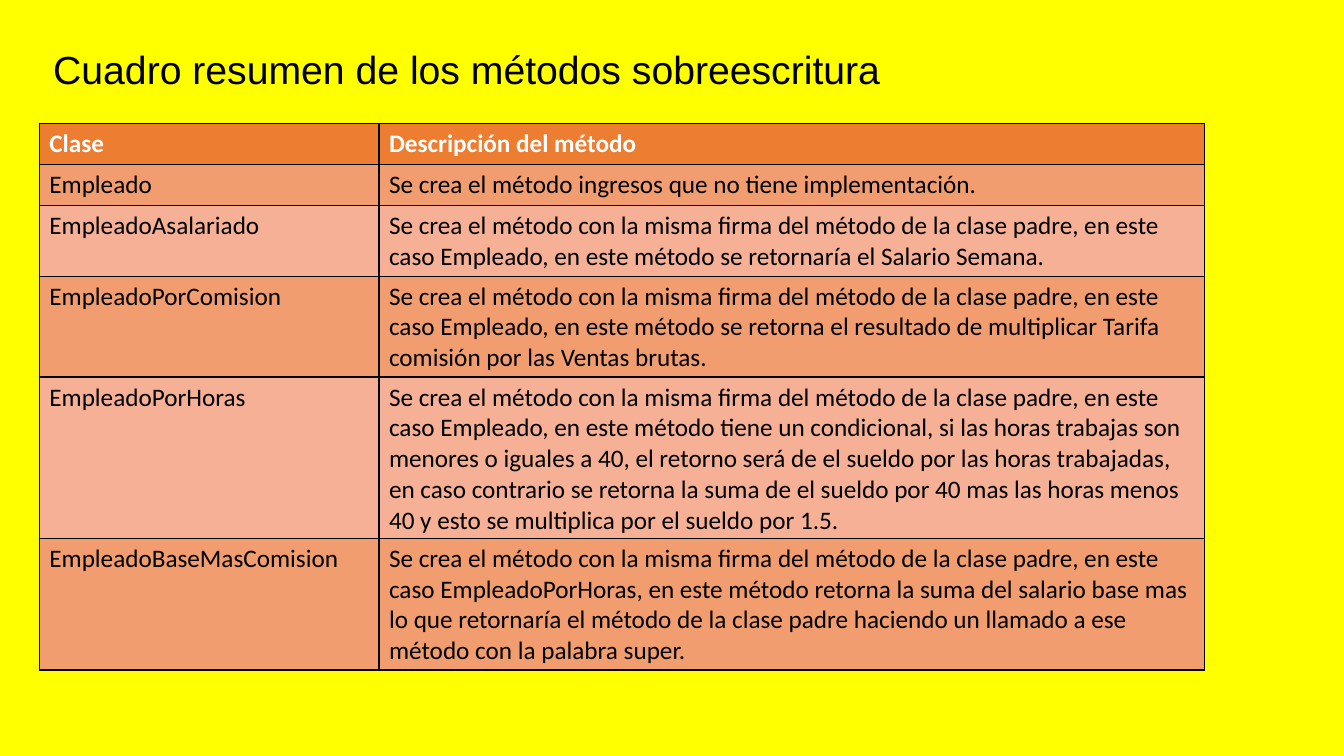
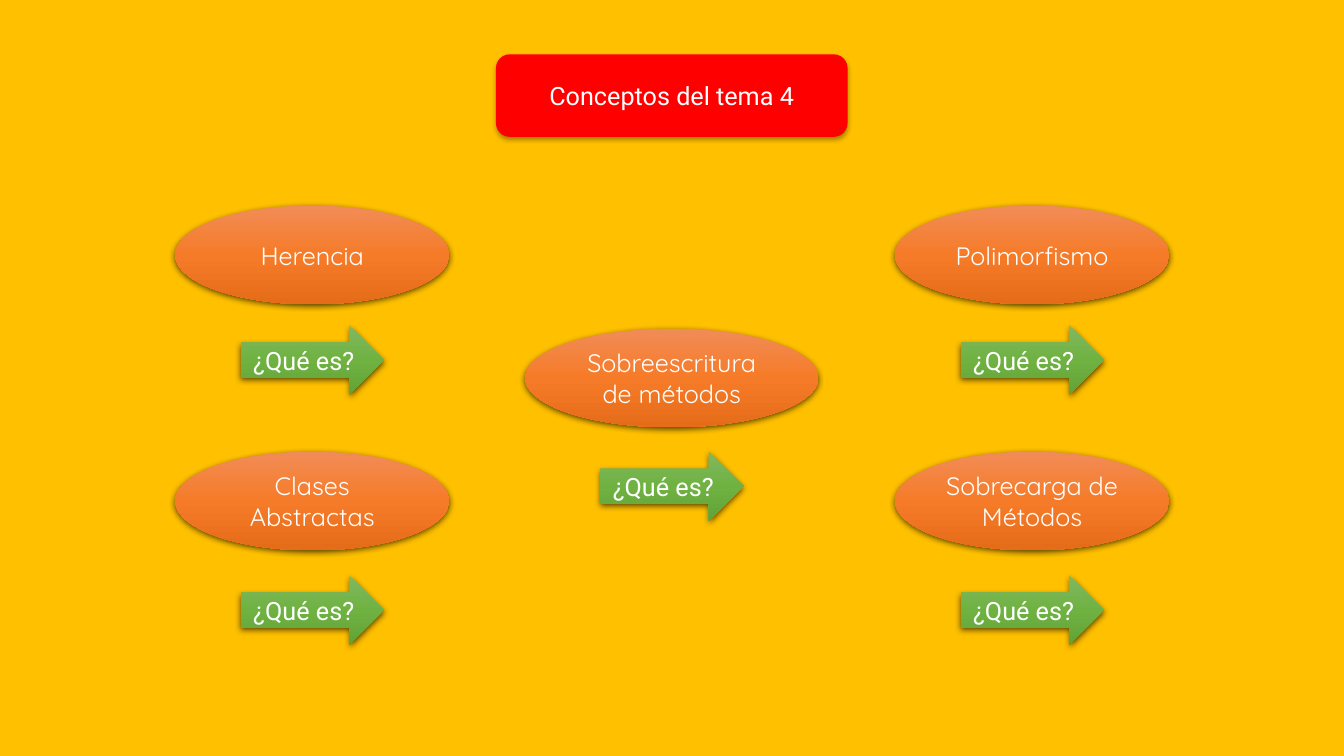
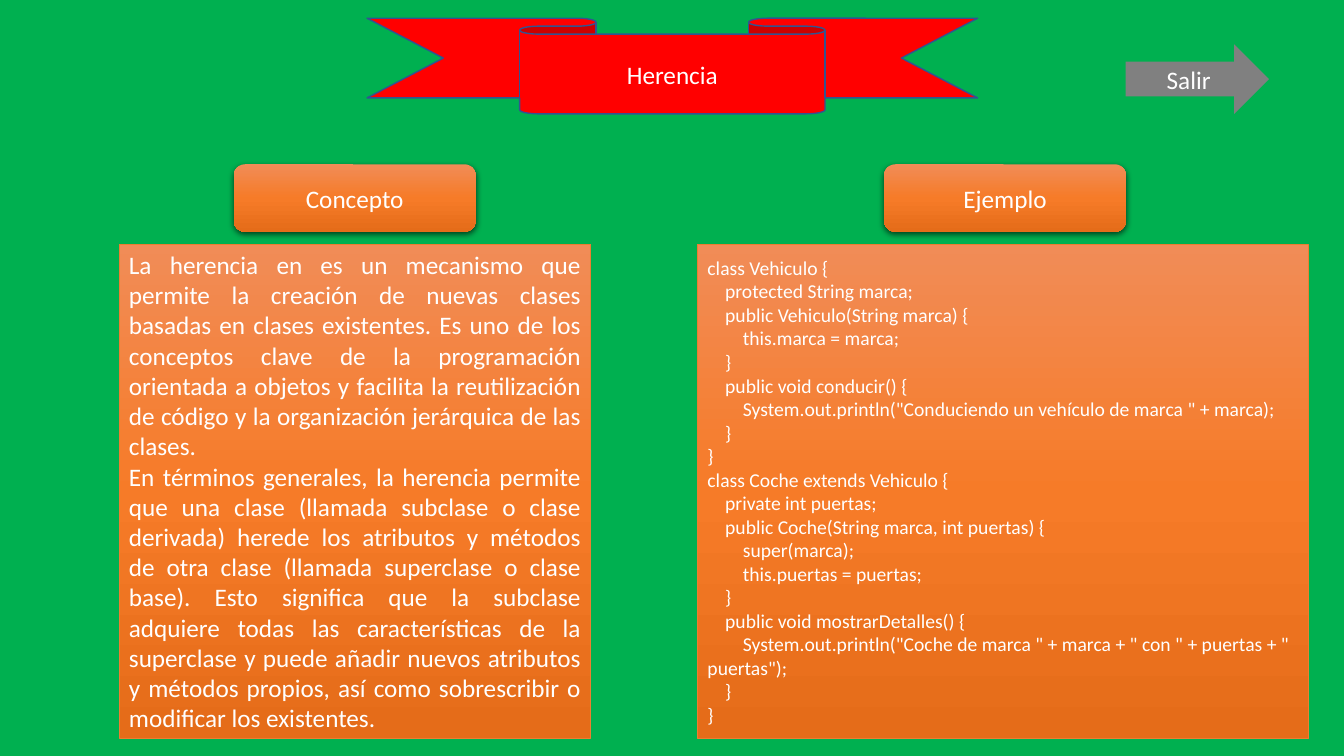
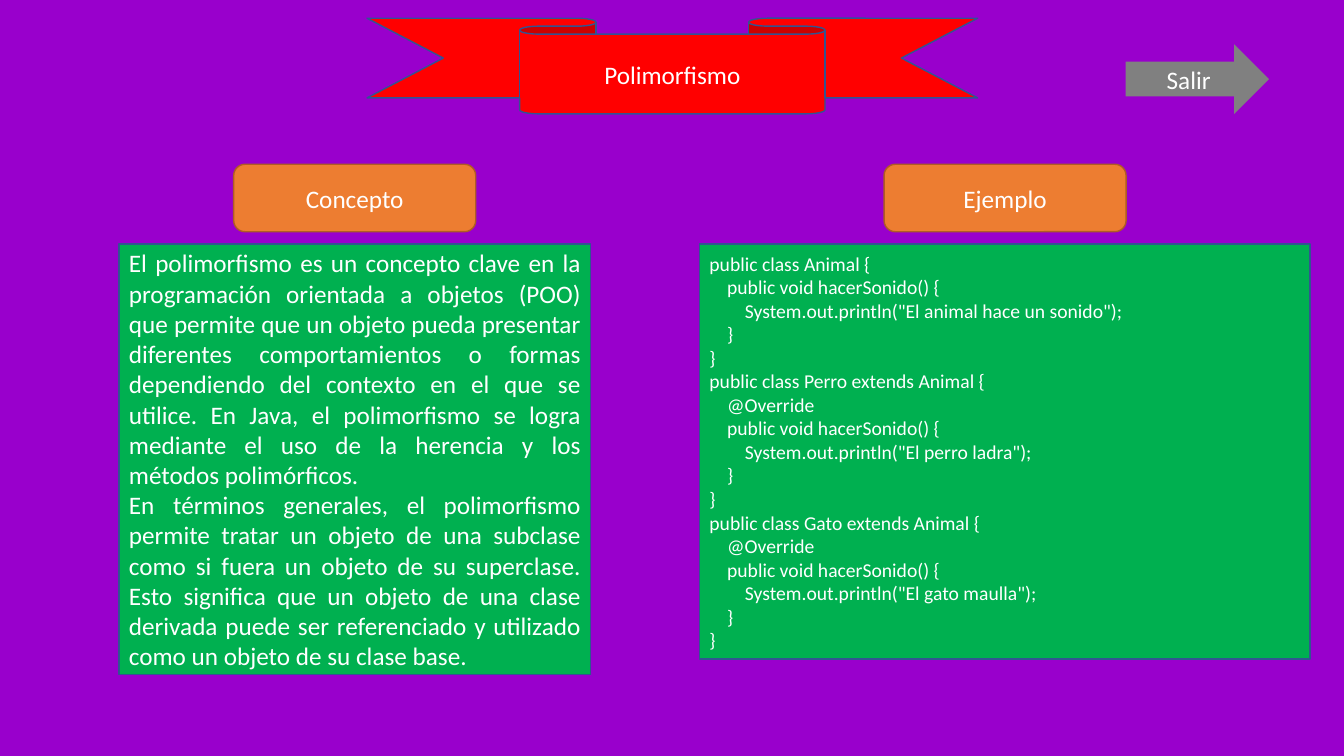
"""Build four slides on inheritance, overriding and polymorphism."""
import copy

import lxml.etree
import pptx
import pptx.dml.color
import pptx.enum.shapes
import pptx.enum.text
import pptx.oxml.ns
import pptx.util

Cm = pptx.util.Cm
Pt = pptx.util.Pt
SHAPE = pptx.enum.shapes.MSO_SHAPE
ALIGN = pptx.enum.text.PP_ALIGN
ANCHOR = pptx.enum.text.MSO_ANCHOR
qn = pptx.oxml.ns.qn

BLACK, WHITE, RED, ORANGE = "000000", "FFFFFF", "FF0000", "ED7D31"
GREEN, BLUE, GRAY = "00B050", "325491", "808080"
ORANGE_FADE = ("F18C57", "F67B28", "E56C19")
GREEN_FADE = ("81B861", "6FB242", "62A336")
ROW_FILLS = ("F19D6F", "F5B096")
SOFT_SHADOW = (63, 4.5, 1.5)
TITLE_SHADOW = (32, 3.5, 2.2)
INDENT_PER_SPACE = Pt(3.16)


def rgb(value):
    """Turn a hex string into a colour."""
    return pptx.dml.color.RGBColor.from_string(value)


class Slides:
    """Hold the deck, its style and the current page."""

    def __init__(self):
        """Open an empty widescreen deck."""
        self.deck = pptx.Presentation()
        self.deck.slide_width = Cm(33.87)
        self.deck.slide_height = Cm(19.05)
        self.page = None

    def add_page(self, background):
        """Start a blank page with a plain background."""
        self.page = self.deck.slides.add_slide(self.deck.slide_layouts[6])
        fill = self.page.background.fill
        fill.solid()
        fill.fore_color.rgb = rgb(background)

    def set_text(self, frame, lines, font="Calibri", size=18, color=WHITE,
                 align=ALIGN.LEFT, bold=False):
        """Fill a text frame, turning leading spaces into indents."""
        frame.text = "\n".join(line.lstrip() for line in lines)
        frame.word_wrap = True
        for para, line in zip(frame.paragraphs, lines):
            para.alignment = align
            spaces = len(line) - len(line.lstrip())
            if spaces:
                properties = para._p.get_or_add_pPr()
                properties.set("marL", "0")
                properties.set("indent", str(spaces * INDENT_PER_SPACE))
            for span in para.runs:
                span.font.name = font
                span.font.size = Pt(size)
                span.font.bold = bold
                span.font.color.rgb = rgb(color)

    def paint(self, fill, colors):
        """Apply a plain colour or a three-stop vertical gradient."""
        if isinstance(colors, str):
            fill.solid()
            fill.fore_color.rgb = rgb(colors)
            return
        fill.gradient()
        fill.gradient_angle = 270
        first = fill.gradient_stops[0]._gs
        first.addnext(copy.deepcopy(first))
        for stop, position, color in zip(fill.gradient_stops, (0, 0.5, 1), colors):
            stop.position = position
            stop.color.rgb = rgb(color)

    def cast_shadow(self, box, opacity, blur, distance):
        """Put a downward black shadow under a shape."""
        effects = box._element.spPr.find(qn("a:effectLst"))
        shadow = lxml.etree.SubElement(
            effects, qn("a:outerShdw"), blurRad=str(Pt(blur)), dist=str(Pt(distance)),
            dir="5400000", algn="ctr", rotWithShape="0")
        color = lxml.etree.SubElement(shadow, qn("a:srgbClr"), val=BLACK)
        lxml.etree.SubElement(color, qn("a:alpha"), val=str(opacity * 1000))

    def add_box(self, kind, place, lines, fill, line=None, shadow=None,
                align=ALIGN.CENTER, **style):
        """Add a preset shape with text."""
        box = self.page.shapes.add_shape(kind, *map(Cm, place))
        self.paint(box.fill, fill)
        if line:
            color, width = line
            box.line.color.rgb = rgb(color)
            box.line.width = Pt(width)
        else:
            box.line.fill.background()
        box.shadow.inherit = False
        if shadow:
            self.cast_shadow(box, *shadow)
        box.text_frame.vertical_anchor = ANCHOR.MIDDLE
        self.set_text(box.text_frame, lines, align=align, **style)

    def add_title(self, place, text):
        """Add a plain title."""
        box = self.page.shapes.add_textbox(*map(Cm, place))
        self.set_text(box.text_frame, [text], font="Arial", size=28, color=BLACK)

    def add_borders(self, cell):
        """Draw a thin black line on each side of a cell."""
        properties = cell._tc.get_or_add_tcPr()
        for index, side in enumerate(("a:lnL", "a:lnR", "a:lnT", "a:lnB")):
            border = lxml.etree.Element(qn(side), w=str(Pt(1)))
            paint = lxml.etree.SubElement(border, qn("a:solidFill"))
            lxml.etree.SubElement(paint, qn("a:srgbClr"), val=BLACK)
            properties.insert(index, border)

    def add_table(self, left, top, widths, heights, rows):
        """Add a table with a header row and alternating fills."""
        table = self.page.shapes.add_table(
            len(rows), len(widths), Cm(left), Cm(top),
            Cm(sum(widths)), Cm(sum(heights))).table
        table.horz_banding = False
        for column, width in zip(table.columns, widths):
            column.width = Cm(width)
        for number, (row, height, texts) in enumerate(zip(table.rows, heights, rows)):
            row.height = Cm(height)
            header = number == 0
            for cell, text in zip(row.cells, texts):
                self.paint(cell.fill, ORANGE if header else ROW_FILLS[(number - 1) % 2])
                self.set_text(cell.text_frame, [text], bold=header,
                              color=WHITE if header else BLACK)
                self.add_borders(cell)

    def add_concept(self, text, center, top, width, arrow_top):
        """Add an ellipse with its question arrow."""
        self.add_box(SHAPE.OVAL, (center - width / 2, top, width, 2.49), [text],
                     ORANGE_FADE, shadow=SOFT_SHADOW, font="Quicksand")
        self.add_box(SHAPE.RIGHT_ARROW, (center - 1.8, arrow_top, 3.61, 1.75),
                     ["¿Qué es?"], GREEN_FADE, shadow=SOFT_SHADOW, font="Roboto")

    def add_lesson(self, background, title, concept, code, label_style, panel_style,
                   concept_height, code_left, code_height):
        """Add a page with a concept panel and a code panel."""
        self.add_page(background)
        self.add_box(SHAPE.DOWN_RIBBON, (9.25, 0.46, 15.39, 2.41), [title], RED,
                     line=(BLUE, 1))
        for label, left in (("Concepto", 5.89), ("Ejemplo", 22.28)):
            self.add_box(SHAPE.ROUNDED_RECTANGLE, (left, 4.14, 6.1, 1.7), [label],
                         **label_style)
        self.add_box(SHAPE.RECTANGLE, (3, 6.15, 11.89, concept_height), concept,
                     align=ALIGN.JUSTIFY, **panel_style)
        self.add_box(SHAPE.RECTANGLE, (code_left, 6.15, 15.39, code_height),
                     code.strip().split("\n"), align=ALIGN.LEFT, size=14, **panel_style)
        self.add_box(SHAPE.RIGHT_ARROW, (28.37, 1.12, 3.61, 1.75), ["Salir"], GRAY)


METHODS = [
    ("Clase", "Descripción del método"),
    ("Empleado", "Se crea el método ingresos que no tiene implementación."),
    ("EmpleadoAsalariado",
     "Se crea el método con la misma firma del método de la clase padre, en este caso "
     "Empleado, en este método se retornaría el Salario Semana."),
    ("EmpleadoPorComision",
     "Se crea el método con la misma firma del método de la clase padre, en este caso "
     "Empleado, en este método se retorna el resultado de multiplicar Tarifa comisión "
     "por las Ventas brutas."),
    ("EmpleadoPorHoras",
     "Se crea el método con la misma firma del método de la clase padre, en este caso "
     "Empleado, en este método tiene un condicional, si las horas trabajas son menores "
     "o iguales a 40, el retorno será de el sueldo por las horas trabajadas, en caso "
     "contrario se retorna la suma de el sueldo por 40 mas las horas menos 40 y esto se "
     "multiplica por el sueldo por 1.5."),
    ("EmpleadoBaseMasComision",
     "Se crea el método con la misma firma del método de la clase padre, en este caso "
     "EmpleadoPorHoras, en este método retorna la suma del salario base mas lo que "
     "retornaría el método de la clase padre haciendo un llamado a ese método con la "
     "palabra super."),
]

CONCEPTS = [
    ("Herencia", 7.87, 5.18, 6.91, 8.2),
    ("Clases Abstractas", 7.87, 11.38, 6.91, 14.5),
    ("Polimorfismo", 26.01, 5.18, 6.91, 8.2),
    ("Sobrecarga de Métodos", 26.01, 11.38, 6.91, 14.5),
    ("Sobreescritura de métodos", 16.93, 8.28, 7.39, 11.38),
]

INHERITANCE = [
    "La herencia en es un mecanismo que permite la creación de nuevas clases basadas en "
    "clases existentes. Es uno de los conceptos clave de la programación orientada a "
    "objetos y facilita la reutilización de código y la organización jerárquica de las "
    "clases.",
    "En términos generales, la herencia permite que una clase (llamada subclase o clase "
    "derivada) herede los atributos y métodos de otra clase (llamada superclase o clase "
    "base). Esto significa que la subclase adquiere todas las características de la "
    "superclase y puede añadir nuevos atributos y métodos propios, así como sobrescribir "
    "o modificar los existentes.",
]

VEHICLE_CODE = """
class Vehiculo {
    protected String marca;
    public Vehiculo(String marca) {
        this.marca = marca;
    }
    public void conducir() {
        System.out.println("Conduciendo un vehículo de marca " + marca);
    }
}
class Coche extends Vehiculo {
    private int puertas;
    public Coche(String marca, int puertas) {
        super(marca);
        this.puertas = puertas;
    }
    public void mostrarDetalles() {
        System.out.println("Coche de marca " + marca + " con " + puertas + " puertas");
    }
}
"""

POLYMORPHISM = [
    "El polimorfismo es un concepto clave en la programación orientada a objetos (POO) "
    "que permite que un objeto pueda presentar diferentes comportamientos o formas "
    "dependiendo del contexto en el que se utilice. En Java, el polimorfismo se logra "
    "mediante el uso de la herencia y los métodos polimórficos.",
    "En términos generales, el polimorfismo permite tratar un objeto de una subclase como "
    "si fuera un objeto de su superclase. Esto significa que un objeto de una clase "
    "derivada puede ser referenciado y utilizado como un objeto de su clase base.",
]

ANIMAL_CODE = """
public class Animal {
    public void hacerSonido() {
        System.out.println("El animal hace un sonido");
    }
}
public class Perro extends Animal {
    @Override
    public void hacerSonido() {
        System.out.println("El perro ladra");
    }
}
public class Gato extends Animal {
    @Override
    public void hacerSonido() {
        System.out.println("El gato maulla");
    }
}
"""

slides = Slides()

slides.add_page("FFFF00")
slides.add_title((1.09, 1.02, 22.23, 1.45), "Cuadro resumen de los métodos sobreescritura")
slides.add_table(0.99, 3.12, (8.56, 20.8), (1.03, 1.03, 1.76, 2.54, 4.06, 3.32), METHODS)

slides.add_page("FFC000")
slides.add_box(SHAPE.ROUNDED_RECTANGLE, (12.5, 1.37, 8.86, 2.08), ["Conceptos del tema 4"],
               RED, shadow=TITLE_SHADOW, font="Roboto")
for concept in CONCEPTS:
    slides.add_concept(*concept)

slides.add_lesson(
    GREEN, "Herencia", INHERITANCE, VEHICLE_CODE,
    label_style={"fill": ORANGE_FADE, "shadow": SOFT_SHADOW},
    panel_style={"fill": ORANGE_FADE, "line": (ORANGE, 0.5)},
    concept_height=12.45, code_left=17.58, code_height=12.45)

slides.add_lesson(
    "9900CC", "Polimorfismo", POLYMORPHISM, ANIMAL_CODE,
    label_style={"fill": ORANGE, "line": ("AF5C24", 1)},
    panel_style={"fill": GREEN, "line": (BLUE, 1)},
    concept_height=10.85, code_left=17.63, code_height=10.46)

slides.deck.save("out.pptx")
